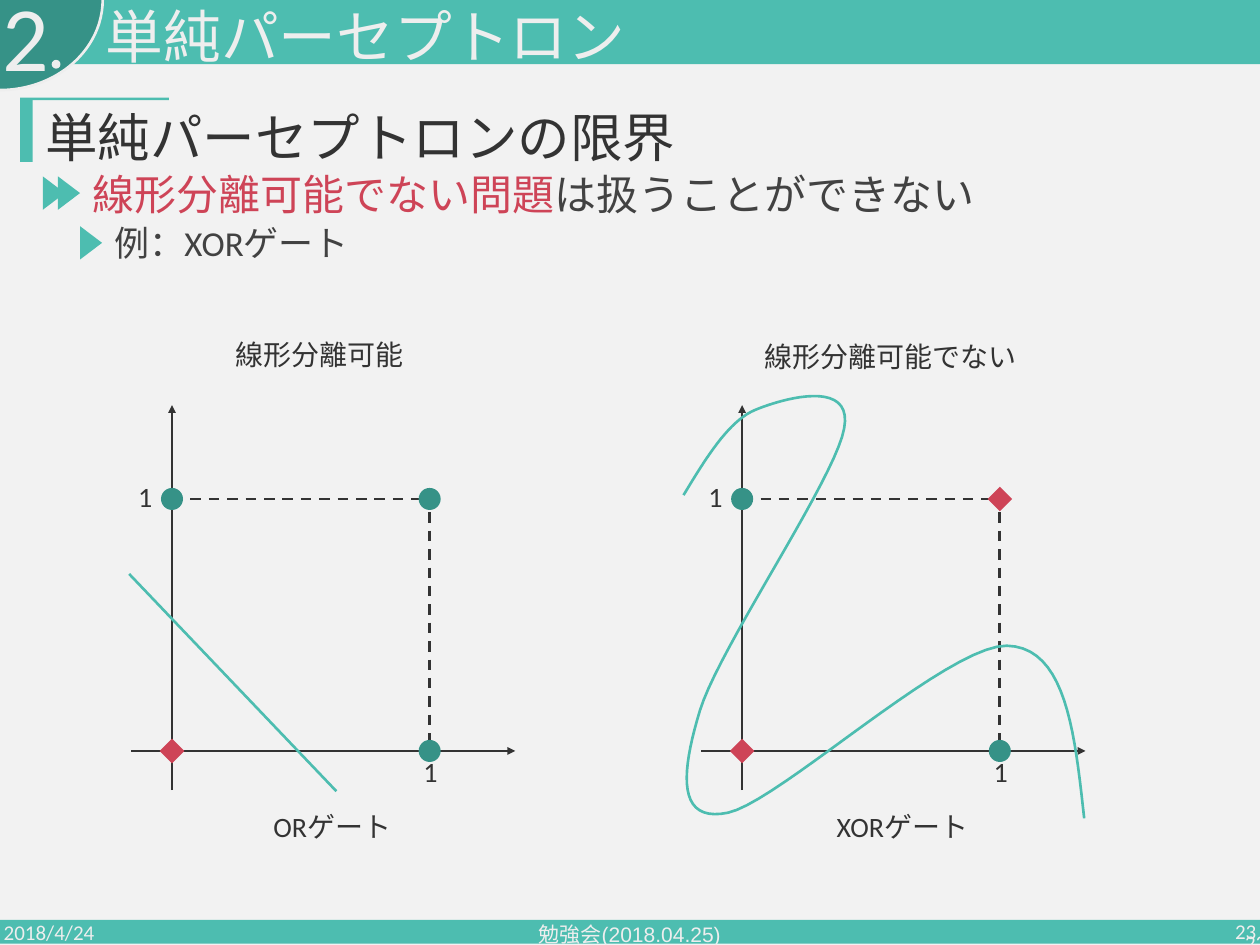
from lxml import etree
from pptx import Presentation
from pptx.dml.color import RGBColor
from pptx.enum.dml import MSO_LINE
from pptx.enum.shapes import MSO_CONNECTOR, MSO_SHAPE
from pptx.enum.text import MSO_ANCHOR, PP_ALIGN
from pptx.oxml.ns import qn
from pptx.util import Inches, Pt

TEAL = RGBColor(0x4D, 0xBD, 0xB0)
DARK_TEAL = RGBColor(0x36, 0x92, 0x87)
RED = RGBColor(0xCE, 0x44, 0x57)
DARK = RGBColor(0x33, 0x33, 0x33)
GRAY = RGBColor(0x42, 0x42, 0x42)
PALE = RGBColor(0xEE, 0xEE, 0xEE)
BACKGROUND = RGBColor(0xF2, 0xF2, 0xF2)

prs = Presentation()
prs.slide_width = Inches(20)
prs.slide_height = Inches(15)
slide = prs.slides.add_slide(prs.slide_layouts[6])
slide.background.fill.solid()
slide.background.fill.fore_color.rgb = BACKGROUND


def add_block(kind, left, top, width, height, color, rotation=0):
    block = slide.shapes.add_shape(
        kind, Inches(left), Inches(top), Inches(width), Inches(height))
    block.shadow.inherit = False
    block.fill.solid()
    block.fill.fore_color.rgb = color
    block.line.fill.background()
    block.rotation = rotation
    return block


def add_text(left, top, width, height, runs, size, color, align=PP_ALIGN.LEFT,
             anchor=MSO_ANCHOR.TOP, spacing=1.0, font="Calibri"):
    frame = slide.shapes.add_textbox(
        Inches(left), Inches(top), Inches(width), Inches(height)).text_frame
    frame.word_wrap = True
    frame.vertical_anchor = anchor
    paragraph = frame.paragraphs[0]
    paragraph.alignment = align
    paragraph.line_spacing = spacing
    paragraph.font.name = font
    paragraph.font.size = Pt(size)
    paragraph.font.color.rgb = color
    for words, run_color in runs:
        run = paragraph.add_run()
        run.text = words
        if run_color != color:
            run.font.color.rgb = run_color


add_block(MSO_SHAPE.RECTANGLE, 0, 14.6, 20, 0.38, TEAL)
add_block(MSO_SHAPE.RECTANGLE, 0, 0, 20, 1.02, TEAL)
chapter_corner = add_block(MSO_SHAPE.ARC, -1.44, -1.64, 2.87, 3.27, DARK_TEAL, 90)
chapter_corner.line.color.rgb = PALE
chapter_corner.line.width = Pt(3)
add_block(MSO_SHAPE.OVAL, 0.82, 0.95, 0.14, 0.14, PALE)

for left, top, width, words, align, font in [
    (-0.04, 14.39, 4.5, "2018/4/24", PP_ALIGN.LEFT, "Calibri"),
    (6.62, 14.42, 6.75, "勉強会(2018.04.25)", PP_ALIGN.CENTER, "Arial"),
    (15.54, 14.38, 4.5, "23", PP_ALIGN.RIGHT, "Calibri"),
    (15.7, 14.55, 4.5, "23", PP_ALIGN.RIGHT, "Calibri"),
]:
    add_text(left, top, width, 0.8, [(words, PALE)], 24, PALE, align,
             MSO_ANCHOR.MIDDLE, font=font)

add_block(MSO_SHAPE.RECTANGLE, 0.32, 1.58, 0.2, 0.99, TEAL)
add_block(MSO_SHAPE.RECTANGLE, 0.32, 1.55, 2.36, 0.04, TEAL)
for left, top in [(0.59, 2.89), (0.83, 2.89), (1.18, 3.68)]:
    add_block(MSO_SHAPE.ISOSCELES_TRIANGLE, left, top, 0.53, 0.35, TEAL, 90)

for left, top, width, height, runs, size, color in [
    (-0.06, -0.17, 7.05, 1.55, [("2", PALE)], 105, PALE),
    (1.58, 0.08, 14.57, 0.87, [("単純パーセプトロン", PALE)], 66, PALE),
    (0.62, 1.73, 18.92, 1.53, [("単純パーセプトロンの限界", DARK)], 60, DARK),
    (1.37, 2.72, 18.19, 1.09,
     [("線形分離可能でない問題", RED), ("は扱うことができない", GRAY)], 48, GRAY),
    (1.72, 3.55, 17.65, 0.93, [("例：XORゲート", GRAY)], 40, GRAY),
]:
    add_text(left, top, width, height, runs, size, color, spacing=0.9)

X0, X1, Y0, Y1 = 2.73, 6.82, 11.92, 7.92
MARKERS = {
    "circle": (MSO_SHAPE.OVAL, 0.35, DARK_TEAL),
    "diamond": (MSO_SHAPE.DIAMOND, 0.39, RED),
}
for shift, gate, verdict, verdict_top, far_marker, separators in [
    (0, "ORゲート", "線形分離可能", 5.31, "circle",
     [(2.05, 9.11, 5.34, 12.56, TEAL, False, False)]),
    (9.05, "XORゲート", "線形分離可能でない", 5.34, "diamond", []),
]:
    for x1, y1, x2, y2, color, dashed, arrow in [
        (X1, 7.84, X1, 12, DARK, True, False),
        (X0, Y1, 6.88, Y1, DARK, True, False),
        (2.08, Y0, 8.18, Y0, DARK, False, True),
        (X0, 12.54, X0, 6.43, DARK, False, True),
    ] + separators:
        line = slide.shapes.add_connector(
            MSO_CONNECTOR.STRAIGHT, Inches(x1 + shift), Inches(y1),
            Inches(x2 + shift), Inches(y2))
        line.line.color.rgb = color
        line.line.width = Pt(3)
        if dashed:
            line.line.dash_style = MSO_LINE.DASH
        if arrow:
            etree.SubElement(line.line._get_or_add_ln(), qn("a:tailEnd"), type="triangle")
        etree.SubElement(line._element.spPr, qn("a:effectLst"))

    for x, y, marker in [(X0, Y1, "circle"), (X1, Y0, "circle"),
                         (X1, Y1, far_marker), (X0, Y0, "diamond")]:
        kind, size, color = MARKERS[marker]
        add_block(kind, x + shift - size / 2, y - size / 2, size, size, color)

    for left, top, width, words in [
        (1.62, 7.56, 1.37, "1"),
        (6.15, 11.93, 1.37, "1"),
        (3.13, 12.8, 4.29, gate),
        (2.73, verdict_top, 4.7, verdict),
    ]:
        add_text(left + shift, top, width, 0.64, [(words, DARK)], 32, DARK, PP_ALIGN.CENTER)

STEPS = 20
start = (10.85, 7.86)
boundary = slide.shapes.build_freeform(Inches(start[0]), Inches(start[1]))
boundary_points = []
for c1, c2, end in [
    ((11.2, 7.28), (11.56, 6.69), (11.98, 6.51)),
    ((12.41, 6.33), (13.55, 6), (13.4, 6.8)),
    ((13.26, 7.6), (11.42, 10.27), (11.11, 11.28)),
    ((10.8, 12.3), (10.75, 13.07), (11.56, 12.9)),
    ((12.37, 12.72), (15.04, 10.24), (15.98, 10.25)),
    ((16.92, 10.27), (17.06, 11.63), (17.21, 12.99)),
]:
    for step in range(1, STEPS + 1):
        t = step / STEPS
        u = 1 - t
        boundary_points.append(tuple(
            Inches(u**3 * p0 + 3 * u**2 * t * p1 + 3 * u * t**2 * p2 + t**3 * p3)
            for p0, p1, p2, p3 in zip(start, c1, c2, end)))
    start = end
boundary.add_line_segments(boundary_points, close=False)
curve = boundary.convert_to_shape()
curve.shadow.inherit = False
curve.fill.background()
curve.line.color.rgb = TEAL
curve.line.width = Pt(3)

prs.save("out.pptx")
